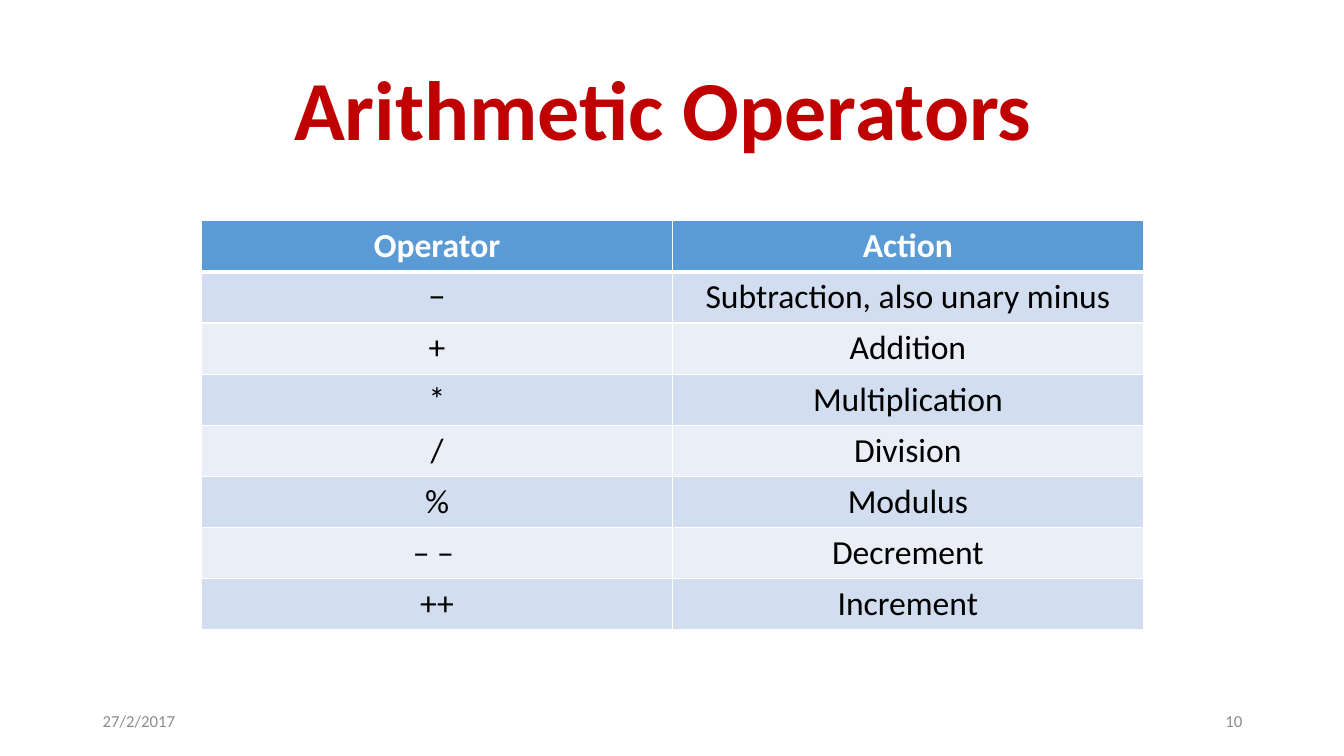
"""Build the Arithmetic Operators slide with its operator table."""
from lxml import etree
from pptx import Presentation
from pptx.dml.color import RGBColor
from pptx.enum.text import MSO_ANCHOR, PP_ALIGN
from pptx.oxml.ns import qn
from pptx.util import Inches, Pt

LEFT, CENTER, RIGHT = PP_ALIGN.LEFT, PP_ALIGN.CENTER, PP_ALIGN.RIGHT
MIDDLE = MSO_ANCHOR.MIDDLE
FONT = "Calibri"
COLORS = {
    "title": "C00000",
    "header": "5B9BD5",
    "odd": "D2DEEF",
    "even": "EAEFF7",
    "white": "FFFFFF",
    "black": "000000",
    "footer": "8C8C8C",
}
OPERATORS = [
    ("Operator", "Action"),
    ("−", "Subtraction, also unary minus"),
    ("+", "Addition"),
    ("*", "Multiplication"),
    ("/", "Division"),
    ("%", "Modulus"),
    ("– – ", "Decrement"),
    ("++", "Increment"),
]


def rgb(name):
    return RGBColor.from_string(COLORS[name])


def write(tf, text, size, color, align, bold=False):
    tf.text = text
    p = tf.paragraphs[0]
    p.alignment = align
    p.font.name = FONT
    p.font.size = Pt(size)
    p.font.bold = bold
    p.font.color.rgb = rgb(color)
    return p


def add_title(s, text):
    sp = s.shapes.title
    sp.left, sp.top = Inches(0.92), Inches(0.4)
    sp.width, sp.height = Inches(11.5), Inches(1.45)
    sp.text_frame.vertical_anchor = MIDDLE
    p = write(sp.text_frame, text, 60, "title", CENTER, bold=True)
    p.line_spacing = 0.9


def set_borders(cell, bottom):
    tc_pr = cell._tc.get_or_add_tcPr()
    for side, width in (("L", 1), ("R", 1), ("T", 1), ("B", bottom)):
        ln = etree.SubElement(tc_pr, qn(f"a:ln{side}"), w=str(Pt(width)))
        fill = etree.SubElement(ln, qn("a:solidFill"))
        etree.SubElement(fill, qn("a:srgbClr"), val=COLORS["white"])


def add_operator_table(s, rows):
    table = s.shapes.add_table(len(rows), 2, Inches(2), Inches(2.19),
                               Inches(9.34), Inches(0.5 * len(rows))).table
    for i, row in enumerate(rows):
        header = i == 0
        fill = "header" if header else ("even", "odd")[i % 2]
        for j, text in enumerate(row):
            cell = table.cell(i, j)
            set_borders(cell, 3 if header else 1)
            cell.fill.solid()
            cell.fill.fore_color.rgb = rgb(fill)
            write(cell.text_frame, text, 24, "white" if header else "black",
                  CENTER, bold=header)


def add_footer(s, text, left, align):
    sp = s.shapes.add_textbox(Inches(left), Inches(6.95), Inches(3), Inches(0.4))
    tf = sp.text_frame
    tf.word_wrap = True
    tf.vertical_anchor = MIDDLE
    write(tf, text, 12, "footer", align)


def main():
    prs = Presentation()
    prs.slide_width, prs.slide_height = Inches(13.33), Inches(7.5)
    s = prs.slides.add_slide(prs.slide_layouts[5])
    add_title(s, "Arithmetic Operators ")
    add_operator_table(s, OPERATORS)
    add_footer(s, "27/2/2017", 0.92, LEFT)
    add_footer(s, "10", 9.42, RIGHT)
    prs.save("out.pptx")


main()
